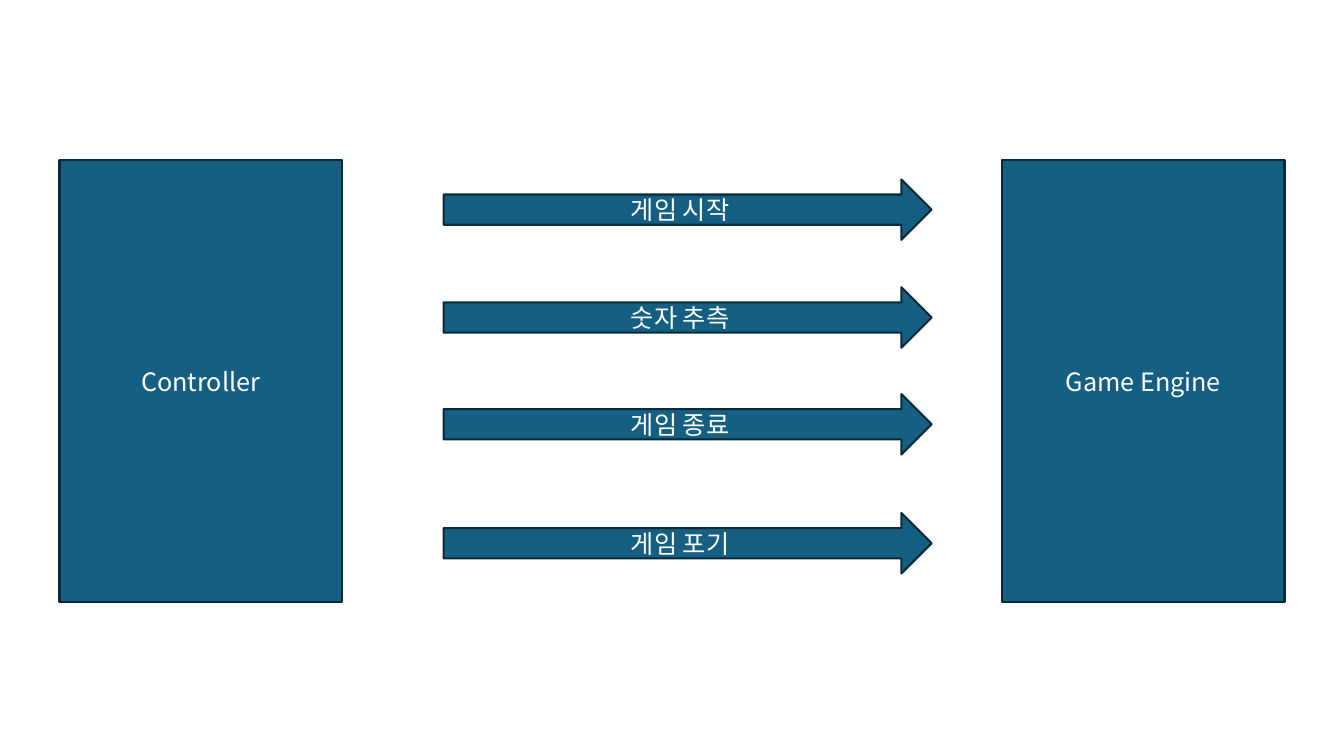
from lxml import etree
from pptx import Presentation
from pptx.dml.color import RGBColor
from pptx.enum import shapes, text
from pptx.oxml import ns
from pptx.util import Inches, Pt

COLOURS = {"fill": "156082", "outline": "092A39", "label": "FFFFFF"}
FONT = "Noto Sans CJK KR"
COMPONENTS = ("Controller", "Game Engine")
MESSAGES = (("게임 시작", 0.19), ("숫자 추측", 1.26), ("게임 종료", 2.32), ("게임 포기", 3.5))
DIAGRAM_BOX = (0.59, 1.59, 12.15, 4.38)
COMPONENT_WIDTH = 2.8
ARROW_LEFT, ARROW_WIDTH, ARROW_HEIGHT = 3.81, 4.84, 0.6


def add_labelled_shape(slide, kind, box, label):
    """Draw one filled shape with a centred label in the given box."""
    shape = slide.shapes.add_shape(kind, *map(Inches, box))
    shape.shadow.inherit = False
    shape.fill.solid()
    shape.fill.fore_color.rgb = RGBColor.from_string(COLOURS["fill"])
    shape.line.color.rgb = RGBColor.from_string(COLOURS["outline"])
    shape.line.width = Pt(1.5)
    shape.text_frame.text = label
    shape.text_frame.vertical_anchor = text.MSO_ANCHOR.MIDDLE
    paragraph = shape.text_frame.paragraphs[0]
    paragraph.alignment = text.PP_ALIGN.CENTER
    paragraph.font.size = Pt(18)
    paragraph.font.color.rgb = RGBColor.from_string(COLOURS["label"])
    paragraph.font.name = FONT
    properties = paragraph._p.find(".//" + ns.qn("a:defRPr"))
    etree.SubElement(properties, ns.qn("a:ea"), typeface=FONT)


def add_components(slide, box):
    """Place the two components at the left and right ends of the box."""
    left, top, width, height = box
    for label, offset in zip(COMPONENTS, (0, width - COMPONENT_WIDTH)):
        component_box = (left + offset, top, COMPONENT_WIDTH, height)
        add_labelled_shape(slide, shapes.MSO_SHAPE.RECTANGLE, component_box, label)


def add_messages(slide, box):
    """Place the message arrows between the components of the box."""
    left, top = box[:2]
    for label, offset in MESSAGES:
        arrow_box = (left + ARROW_LEFT, top + offset, ARROW_WIDTH, ARROW_HEIGHT)
        add_labelled_shape(slide, shapes.MSO_SHAPE.RIGHT_ARROW, arrow_box, label)


def main():
    """Build and save the message diagram."""
    presentation = Presentation()
    presentation.slide_width = Inches(13.33)
    presentation.slide_height = Inches(7.5)
    slide = presentation.slides.add_slide(presentation.slide_layouts.get_by_name("Blank"))
    add_components(slide, DIAGRAM_BOX)
    add_messages(slide, DIAGRAM_BOX)
    presentation.save("out.pptx")


if __name__ == "__main__":
    main()
